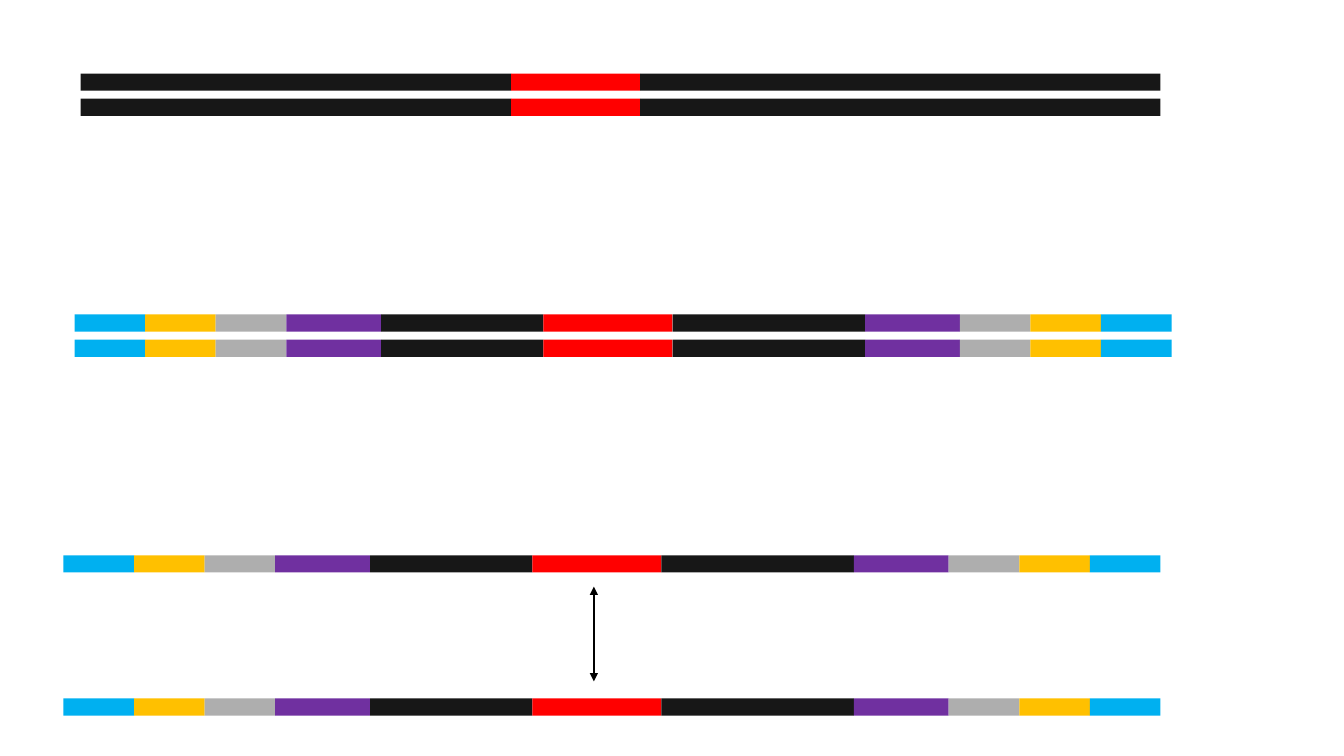
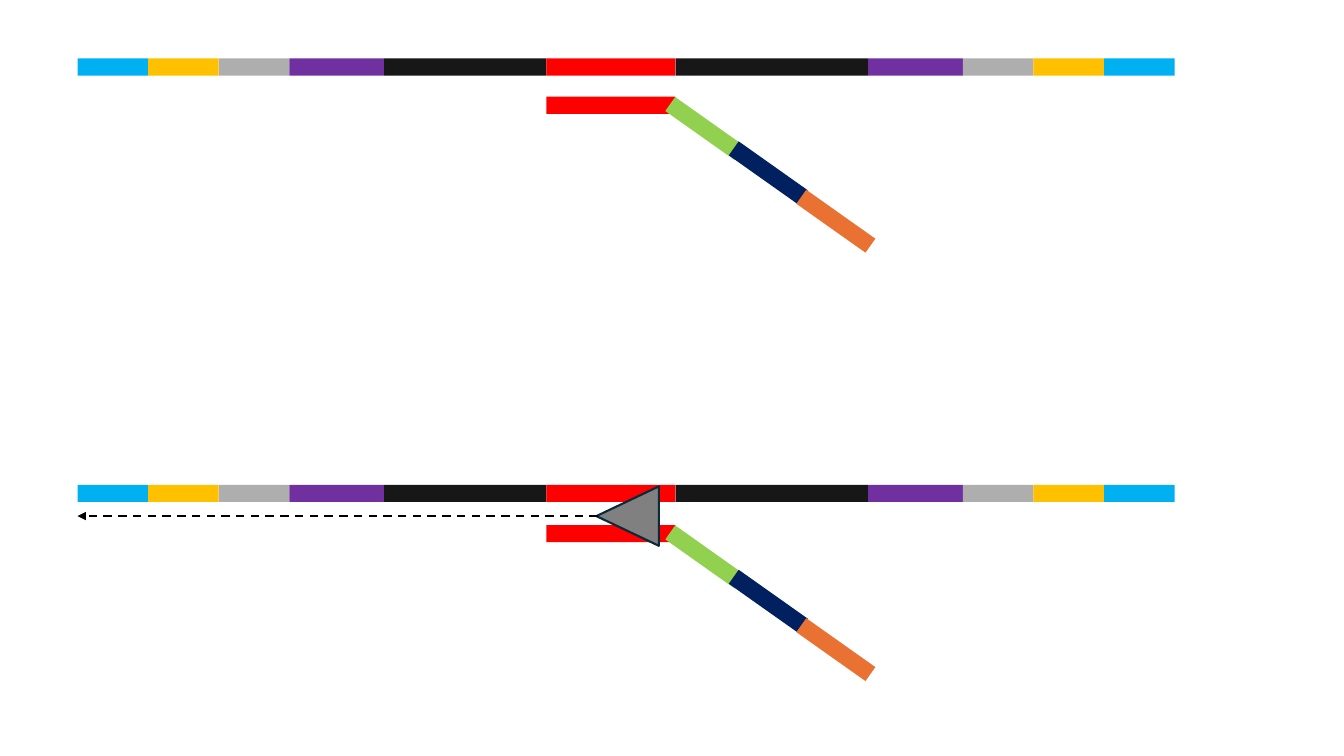
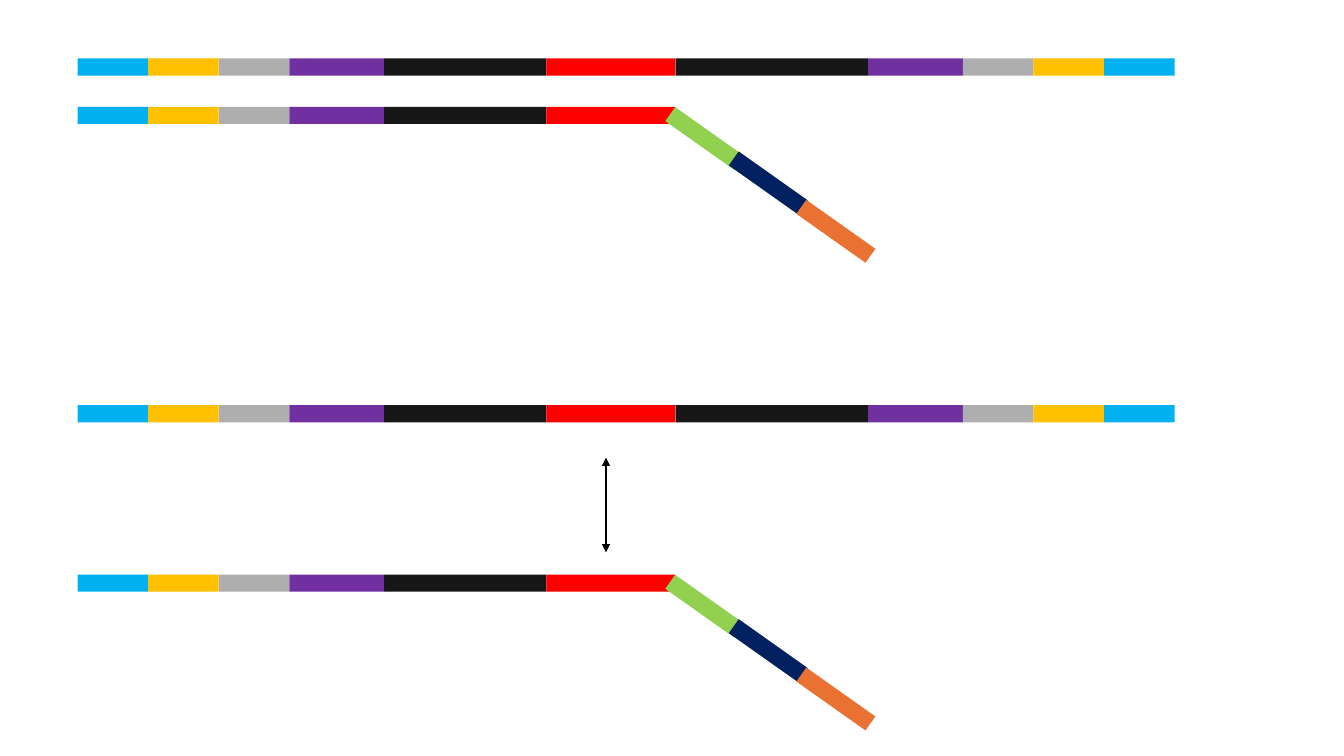
from dataclasses import dataclass

from lxml.etree import SubElement
from pptx import Presentation
from pptx.dml.color import RGBColor
from pptx.enum.dml import MSO_LINE
from pptx.enum.shapes import MSO_CONNECTOR, MSO_SHAPE
from pptx.oxml.ns import qn
from pptx.util import Inches, Pt


@dataclass(frozen=True)
class Theme:
    """Colours and sizes that all slides share."""

    backbone: str = "171717"
    repeat: str = "FF0000"
    purple: str = "7030A0"
    grey: str = "AEAEAE"
    gold: str = "FFC000"
    blue: str = "00B0F0"
    green: str = "92D050"
    navy: str = "002060"
    orange: str = "E97132"
    enzyme: str = "808080"
    enzyme_edge: str = "092A39"
    arrow: str = "000000"
    line_width: float = 1.5
    strand_height: float = 0.17
    repeat_width: float = 1.28
    overhang_angle: float = 35.3


THEME = Theme()
REPEAT = (THEME.repeat, THEME.repeat_width)
OUTER_MARKS = [(THEME.blue, 0.7), (THEME.gold, 0.7), (THEME.grey, 0.7), (THEME.purple, 0.94)]
LEFT_ARM = OUTER_MARKS + [(THEME.backbone, 1.61), REPEAT]
MARKED_STRAND = LEFT_ARM + [(THEME.backbone, 1.91)] + OUTER_MARKS[::-1]
PLAIN_STRAND = [(THEME.backbone, 4.27), REPEAT, (THEME.backbone, 5.16)]
OVERHANG = [(THEME.green, 1.15, 0.23), (THEME.navy, 1.78, 0.67), (THEME.orange, 2.45, 1.15)]
OVERHANG_LENGTH = 0.84
STRAND_LEFT = 0.77
REPEAT_LEFT = 5.42


def add_filled_shape(shapes, kind, left, top, width, height, color):
    """Add a filled preset shape without outline or shadow."""
    shape = shapes.add_shape(kind, Inches(left), Inches(top), Inches(width), Inches(height))
    shape.shadow.inherit = False
    shape.fill.solid()
    shape.fill.fore_color.rgb = RGBColor.from_string(color)
    shape.line.fill.background()
    return shape


def add_strand(slide, left, top, segments):
    """Lay coloured segments end to end from the given corner."""
    for color, width in segments:
        add_filled_shape(slide.shapes, MSO_SHAPE.RECTANGLE, left, top, width,
                         THEME.strand_height, color)
        left += width


def add_primer(slide, top, segments=(REPEAT,)):
    """Add a strand that ends in the repeat, with its slanted overhang."""
    left = REPEAT_LEFT + THEME.repeat_width - sum(width for _, width in segments)
    add_strand(slide, left, top, segments)
    group = slide.shapes.add_group_shape()
    for color, across, down in OVERHANG:
        piece = add_filled_shape(group.shapes, MSO_SHAPE.RECTANGLE, REPEAT_LEFT + across,
                                 top + down, OVERHANG_LENGTH, THEME.strand_height, color)
        piece.rotation = THEME.overhang_angle


def add_arrow(slide, start, end, both_ends=False, dashed=False):
    """Draw an arrow between two points given in inches."""
    connector = slide.shapes.add_connector(
        MSO_CONNECTOR.STRAIGHT, *(Inches(value) for value in (*start, *end)))
    connector.line.color.rgb = RGBColor.from_string(THEME.arrow)
    connector.line.width = Pt(THEME.line_width)
    if dashed:
        connector.line.dash_style = MSO_LINE.DASH
    outline = connector.line._get_or_add_ln()
    for tag in ("a:headEnd", "a:tailEnd") if both_ends else ("a:tailEnd",):
        SubElement(outline, qn(tag), type="triangle")
    SubElement(connector._element.spPr, qn("a:effectLst"))


def add_separation_arrow(slide, center, top):
    """Add the upright double arrow between two separated strands."""
    add_arrow(slide, (center, top + 0.94), (center, top), both_ends=True)


def add_polymerase(slide, left, top):
    """Add the enzyme triangle and its dashed path to the strand end."""
    enzyme = add_filled_shape(slide.shapes, MSO_SHAPE.ISOSCELES_TRIANGLE, left, top,
                              0.59, 0.62, THEME.enzyme)
    enzyme.rotation = 270
    enzyme.line.color.rgb = RGBColor.from_string(THEME.enzyme_edge)
    enzyme.line.width = Pt(THEME.line_width)
    middle = top + 0.31
    add_arrow(slide, (left, middle), (STRAND_LEFT, middle), dashed=True)


def build_denaturation(slide):
    """Show the double strand, its marked regions and its separation."""
    for left, tops, segments in (
        (0.8, (0.73, 0.98), PLAIN_STRAND),
        (0.74, (3.12, 3.37), MARKED_STRAND),
        (0.63, (5.51, 6.93), MARKED_STRAND),
    ):
        for top in tops:
            add_strand(slide, left, top, segments)
    add_separation_arrow(slide, 5.89, 5.82)


def build_annealing(slide):
    """Show the primer binding and the polymerase starting."""
    for strand_top, primer_top in ((0.58, 0.96), (4.81, 5.21)):
        add_strand(slide, STRAND_LEFT, strand_top, MARKED_STRAND)
        add_primer(slide, primer_top)
    add_polymerase(slide, 5.93, 4.81)


def build_extension(slide):
    """Show the extended primer and its separation from the template."""
    for strand_top, primer_top in ((0.58, 1.06), (4.02, 5.7)):
        add_strand(slide, STRAND_LEFT, strand_top, MARKED_STRAND)
        add_primer(slide, primer_top, LEFT_ARM)
    add_separation_arrow(slide, 6.01, 4.54)


def main():
    """Build and save the presentation."""
    presentation = Presentation()
    presentation.slide_width = Inches(13.33)
    presentation.slide_height = Inches(7.5)
    blank_layout = presentation.slide_layouts[6]
    for build in (build_denaturation, build_annealing, build_extension):
        build(presentation.slides.add_slide(blank_layout))
    presentation.save("out.pptx")


if __name__ == "__main__":
    main()
